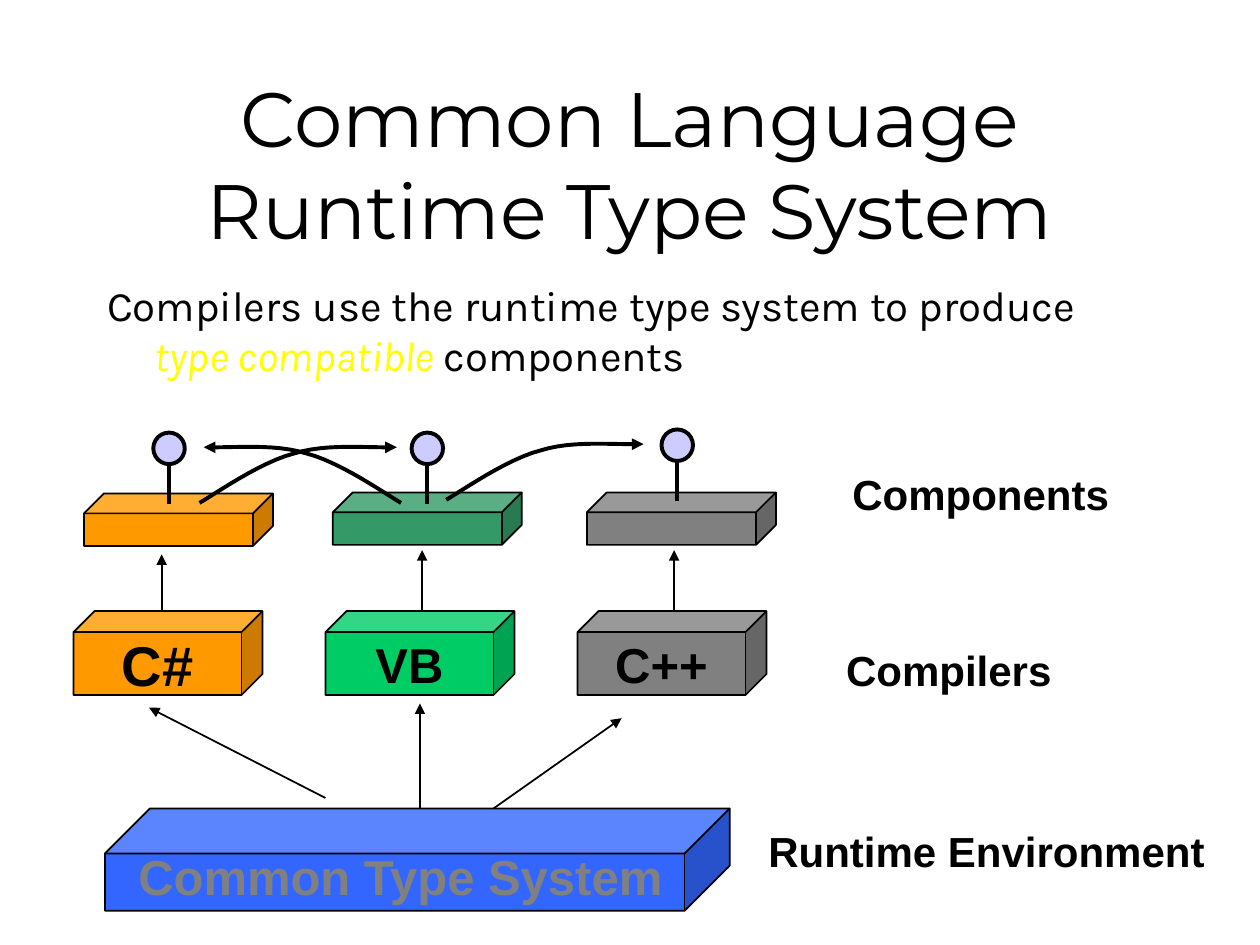
import pptx
import pptx.util
import pptx.dml.color
import pptx.enum.shapes
import pptx.enum.text
import pptx.oxml
import pptx.oxml.ns

COLORS = {"ink": "000000", "accent": "FFFF00", "orange": "FF9900", "green": "00CC66",
          "sea": "339966", "gray": "808080", "blue": "3366FF", "pin": "CCCCFF"}
TITLE = "Common Language Runtime Type System"
SUMMARY = [("Compilers use the runtime type system to produce ", "ink", False),
           ("type compatible ", "accent", True), ("components", "ink", False)]
LANGUAGES = [
    {"name": "C#", "size": 32, "compiler": "orange", "component": "orange",
     "component_at": (8, 47), "pin_at": (14.6, 41.2), "arrow_at": (15.4, 52.8)},
    {"name": "VB", "size": 28, "compiler": "green", "component": "sea",
     "component_at": (31.7, 46.9), "pin_at": (39.2, 41.2), "arrow_at": (40.2, 52.4)},
    {"name": "C++", "size": 28, "compiler": "gray", "component": "gray",
     "component_at": (55.9, 46.9), "pin_at": (63, 40.9), "arrow_at": (64.2, 52.4)},
]
LABELS = [("Components", (80, 44, 26.8, 6), 24, "ink", False),
          ("Compilers", (79.4, 60.8, 22, 6), 24, "ink", False),
          ("Common Type System", (12, 80, 53, 6.8), 28, "gray", True),
          ("Runtime Environment", (72, 78, 44, 6), 24, "ink", False)]
RUNTIME_ARROWS = [((40, 77), (40, 67)), ((31, 76), (14.2, 67.4)), ((47, 77), (59.2, 68.4))]
CALLS = [((19, 47.9), 1), ((42.5, 47.6), 1), ((38.2, 47.9), -1)]
CALL_CURVES = [[(0, 0), (1.4, -0.8), (5.8, -3.9), (9, -4.7)],
               [(9, -4.7), (12.1, -5.7), (16.3, -5.2), (18.8, -5.3)]]
CURVE_STEPS = 12
COLUMNS, ROWS = 120, 90

deck = pptx.Presentation()
deck.slide_width, deck.slide_height = pptx.util.Inches(10), pptx.util.Inches(7.5)
slide = deck.slides.add_slide(deck.slide_layouts[1])
SHAPES = pptx.enum.shapes.MSO_SHAPE
ALIGN = pptx.enum.text.PP_ALIGN
MIDDLE = pptx.enum.text.MSO_ANCHOR.MIDDLE
FIT = pptx.enum.text.MSO_AUTO_SIZE


def grid(*cells):
    return [round(cell * (deck.slide_height / ROWS if i % 2 else deck.slide_width / COLUMNS))
            for i, cell in enumerate(cells)]


def apply(target, values):
    for name, value in values.items():
        setattr(target, name, value)


def rgb(color):
    return pptx.dml.color.RGBColor.from_string(COLORS[color])


def add_run(paragraph, text, size, font, color, **style):
    run = paragraph.add_run()
    run.text = text
    apply(run.font, {"size": pptx.util.Pt(size), "name": font, **style})
    run.font.color.rgb = rgb(color)


def outline(part, width, arrow=False):
    part.line.color.rgb = rgb("ink")
    part.line.width = pptx.util.Pt(width)
    if arrow:
        tail = pptx.oxml.parse_xml(f'<a:tailEnd {pptx.oxml.ns.nsdecls("a")} type="triangle"/>')
        part.line._get_or_add_ln().append(tail)


def add_solid(parent, kind, box, color, width, depth=None):
    solid = parent.add_shape(kind, *grid(*box))
    solid.shadow.inherit = False
    solid.fill.solid()
    solid.fill.fore_color.rgb = rgb(color)
    outline(solid, width)
    if depth is not None:
        solid.adjustments[0] = depth
    return solid


def add_line(parent, start, end, width, arrow=False):
    line = parent.add_connector(pptx.enum.shapes.MSO_CONNECTOR.STRAIGHT, *grid(*start, *end))
    outline(line, width, arrow)
    line._element.spPr.append(pptx.oxml.parse_xml(f'<a:effectLst {pptx.oxml.ns.nsdecls("a")}/>'))


def place(part, box):
    apply(part, dict(zip(("left", "top", "width", "height"), grid(*box))))


def bezier(points, t):
    weights = ((1 - t) ** 3, 3 * t * (1 - t) ** 2, 3 * t * t * (1 - t), t ** 3)
    return [sum(w * p[axis] for w, p in zip(weights, points)) for axis in (0, 1)]


def add_call(start, direction):
    steps = [bezier(curve, i / CURVE_STEPS)
             for curve in CALL_CURVES for i in range(1, CURVE_STEPS + 1)]
    route = [grid(start[0] + direction * dx, start[1] + dy) for dx, dy in steps]
    builder = slide.shapes.build_freeform(*grid(*start))
    builder.add_line_segments(route, close=False)
    call = builder.convert_to_shape()
    call.shadow.inherit = False
    call.fill.background()
    outline(call, 2.25, arrow=True)


title, summary = slide.shapes.title, slide.placeholders[1]
place(title, (9, 8, 102, 15))
apply(title.text_frame, {"vertical_anchor": MIDDLE, "word_wrap": True, "auto_size": FIT.NONE})
heading = title.text_frame.paragraphs[0]
heading.alignment = ALIGN.CENTER
add_run(heading, TITLE, 44, "Montserrat", "ink")

place(summary, (9, 26, 102, 54))
apply(summary.text_frame, {"word_wrap": True, "auto_size": FIT.NONE})
statement = summary.text_frame.paragraphs[0]
statement.space_before = pptx.util.Pt(6)
properties = statement._p.get_or_add_pPr()
indent = grid(4.5)[0]
properties.set("marL", str(indent))
properties.set("indent", str(-indent))
properties.append(pptx.oxml.parse_xml(f'<a:buNone {pptx.oxml.ns.nsdecls("a")}/>'))
for text, color, italic in SUMMARY:
    add_run(statement, text, 24, "Karla", color, italic=italic)

add_line(slide.shapes, *RUNTIME_ARROWS[0], 1, arrow=True)
add_solid(slide.shapes, SHAPES.CUBE, (10, 77, 59.5, 9.75), "blue", 1, 0.44)
for start, end in RUNTIME_ARROWS[1:]:
    add_line(slide.shapes, start, end, 1, arrow=True)

for text, box, size, color, wrap in LABELS:
    label = slide.shapes.add_textbox(*grid(*box))
    apply(label.text_frame, {"word_wrap": wrap, "auto_size": FIT.SHAPE_TO_FIT_TEXT})
    add_run(label.text_frame.paragraphs[0], text, size, "Arial", color, bold=True)

for index, language in enumerate(LANGUAGES):
    column, row = language["arrow_at"]
    add_line(slide.shapes, (column, row + 8), (column, row), 1, arrow=True)
    compiler = add_solid(slide.shapes, SHAPES.CUBE, (7 + 24 * index, 58.2, 18, 8),
                         language["compiler"], 1, 0.25)
    apply(compiler.text_frame, {"vertical_anchor": MIDDLE, "word_wrap": False})
    caption = compiler.text_frame.paragraphs[0]
    caption.alignment = ALIGN.CENTER
    add_run(caption, language["name"], language["size"], "Arial", "ink", bold=True)
    add_solid(slide.shapes, SHAPES.CUBE, (*language["component_at"], 18, 5),
              language["component"], 1, 0.38)
    pin = slide.shapes.add_group_shape().shapes
    column, row = language["pin_at"]
    add_line(pin, (column + 1.5, row + 1.9), (column + 1.5, row + 6.8), 2.25)
    add_solid(pin, SHAPES.OVAL, (column, row, 3, 3), "pin", 2.25)

for start, direction in CALLS:
    add_call(start, direction)

deck.save("out.pptx")
